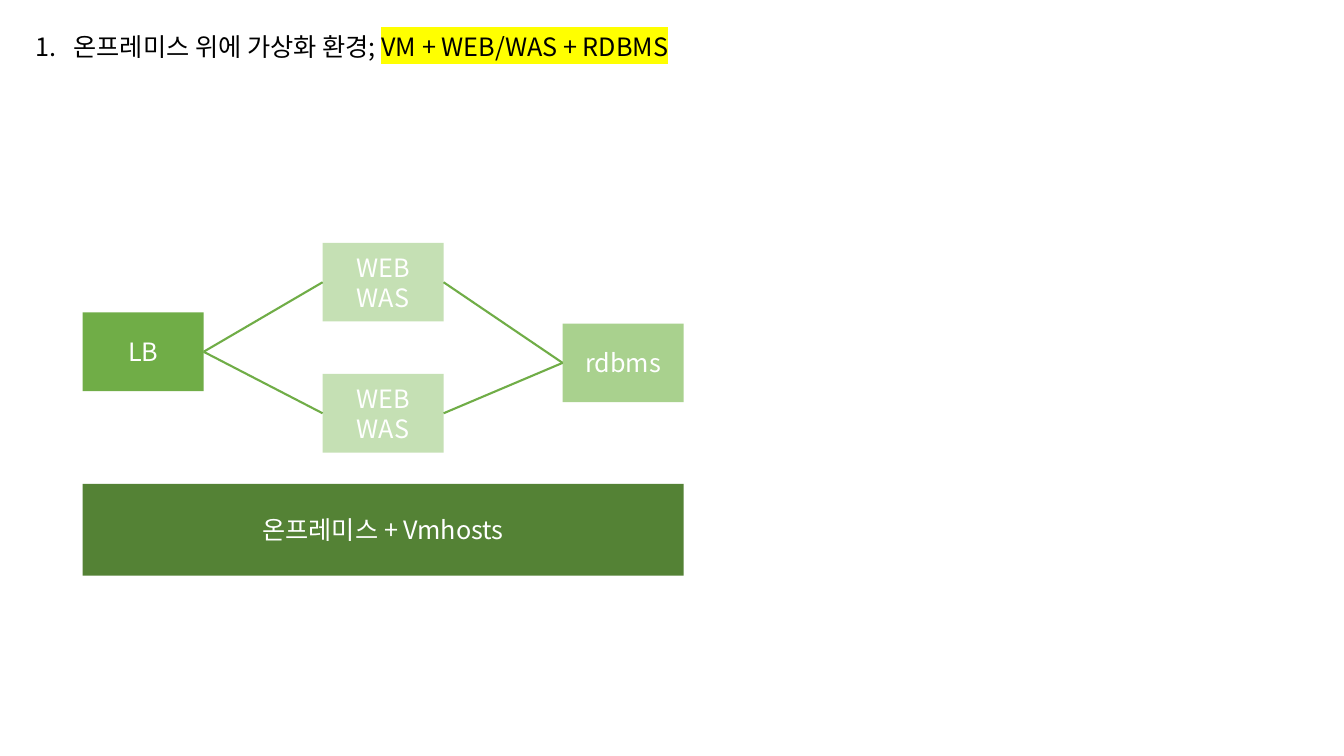
from lxml import etree
from pptx import Presentation
from pptx.dml.color import RGBColor
from pptx.enum.shapes import MSO_CONNECTOR, MSO_SHAPE
from pptx.enum.text import MSO_ANCHOR, MSO_AUTO_SIZE, PP_ALIGN
from pptx.oxml.ns import qn
from pptx.util import Inches, Pt

STRAIGHT = MSO_CONNECTOR.STRAIGHT
RECTANGLE = MSO_SHAPE.RECTANGLE
TOP, MIDDLE = MSO_ANCHOR.TOP, MSO_ANCHOR.MIDDLE
LEFT, CENTER = PP_ALIGN.LEFT, PP_ALIGN.CENTER
FIT_SHAPE = MSO_AUTO_SIZE.SHAPE_TO_FIT_TEXT

BLACK = RGBColor(0, 0, 0)
WHITE = RGBColor(0xFF, 0xFF, 0xFF)
YELLOW = RGBColor(0xFF, 0xFF, 0)
DARK_GREEN = RGBColor(0x54, 0x82, 0x35)
GREEN = RGBColor(0x70, 0xAD, 0x47)
MID_GREEN = RGBColor(0xA9, 0xD1, 0x8E)
PALE_GREEN = RGBColor(0xC5, 0xE0, 0xB4)
FONT = "Noto Sans CJK KR"

TITLE = "온프레미스 위에 가상화 환경; "
TITLE_MARKED = "VM + WEB/WAS + RDBMS"

# Nodes: text, column, top, fill
NODES = {
    "balancer": ("LB", 0, 3.1, GREEN),
    "web 1": ("WEB\nWAS", 1, 2.41, PALE_GREEN),
    "web 2": ("WEB\nWAS", 1, 3.71, PALE_GREEN),
    "database": ("rdbms", 2, 3.21, MID_GREEN),
}
LINKS = [
    ("balancer", "web 1"),
    ("balancer", "web 2"),
    ("web 1", "database"),
    ("web 2", "database"),
]
PLATFORM = "온프레미스 + Vmhosts"

DIAGRAM_LEFT, COLUMN_STEP = 0.82, 2.38
NODE_W, NODE_H = 1.2, 0.78
PLATFORM_TOP, PLATFORM_H = 4.8, 0.91
RIGHT_SIDE, LEFT_SIDE = 3, 1  # connection sites of a rectangle


def style_paragraph(p, color, align):
    """Set font, colour and alignment for Latin and Korean text."""
    p.alignment = align
    p.font.size = Pt(18)
    p.font.color.rgb = color
    p.font.name = FONT
    defaults = p._p.pPr.find(qn("a:defRPr"))
    etree.SubElement(defaults, qn("a:ea")).set("typeface", FONT)


def highlight(r, color):
    """Mark a run with a background colour."""
    mark = etree.SubElement(r._r.get_or_add_rPr(), qn("a:highlight"))
    etree.SubElement(mark, qn("a:srgbClr")).set("val", str(color))


def number_paragraph(p, indent):
    """Give a paragraph an automatic number and a hanging indent."""
    pPr = p._p.get_or_add_pPr()
    pPr.set("marL", str(indent))
    pPr.set("indent", str(-indent))
    number = etree.Element(qn("a:buAutoNum"), type="arabicPeriod")
    pPr.insert(0, number)


def add_title(slide):
    """Fill and format the numbered title."""
    sp = slide.shapes.title
    sp.left, sp.top = Inches(0.25), Inches(0.26)
    sp.width, sp.height = Inches(7.1), Inches(0.4)
    tf = sp.text_frame
    tf.word_wrap = True
    tf.auto_size = FIT_SHAPE
    tf.vertical_anchor = TOP
    p = tf.paragraphs[0]
    p.add_run().text = TITLE
    r = p.add_run()
    r.text = TITLE_MARKED
    highlight(r, YELLOW)
    style_paragraph(p, BLACK, LEFT)
    number_paragraph(p, Inches(0.38))


def add_box(slide, text, left, top, width, height, fill):
    """Add a filled rectangle with centred white text."""
    sp = slide.shapes.add_shape(RECTANGLE, Inches(left), Inches(top),
                                Inches(width), Inches(height))
    sp.shadow.inherit = False
    sp.fill.solid()
    sp.fill.fore_color.rgb = fill
    sp.line.fill.background()
    tf = sp.text_frame
    tf.word_wrap = True
    tf.vertical_anchor = MIDDLE
    tf.text = text
    for p in tf.paragraphs:
        style_paragraph(p, WHITE, CENTER)
    return sp


def add_link(slide, start, end):
    """Join the right side of one box to the left side of another."""
    line = slide.shapes.add_connector(STRAIGHT, 0, 0, 0, 0)
    line.begin_connect(start, RIGHT_SIDE)
    line.end_connect(end, LEFT_SIDE)
    line.line.color.rgb = GREEN
    line.line.width = Pt(1.5)
    etree.SubElement(line._element.spPr, qn("a:effectLst"))


prs = Presentation()
prs.slide_width, prs.slide_height = Inches(13.33), Inches(7.5)
slide = prs.slides.add_slide(prs.slide_layouts[5])

add_title(slide)
add_box(slide, PLATFORM, DIAGRAM_LEFT, PLATFORM_TOP,
        2 * COLUMN_STEP + NODE_W, PLATFORM_H, DARK_GREEN)
boxes = {
    name: add_box(slide, text, DIAGRAM_LEFT + column * COLUMN_STEP, top,
                  NODE_W, NODE_H, fill)
    for name, (text, column, top, fill) in NODES.items()
}
for start, end in LINKS:
    add_link(slide, boxes[start], boxes[end])

prs.save("out.pptx")
